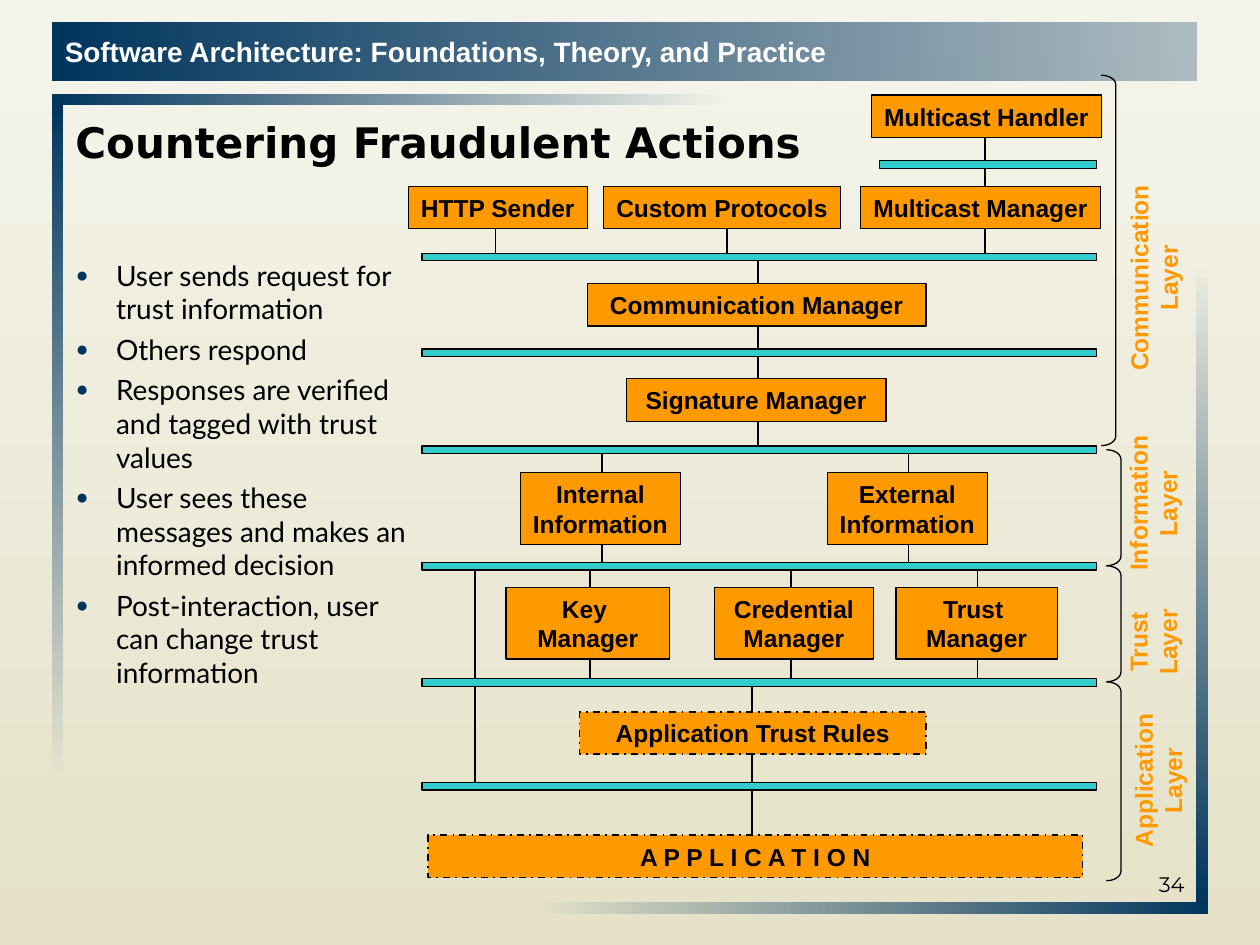
import pptx
import pptx.util
import pptx.dml.color
import pptx.enum.dml
import pptx.enum.shapes
import pptx.enum.text
import lxml.etree
from pptx.oxml.ns import qn

Pt = pptx.util.Pt
SHAPE = pptx.enum.shapes.MSO_SHAPE
ALIGN = pptx.enum.text.PP_ALIGN
ANCHOR = pptx.enum.text.MSO_ANCHOR
NAVY, ORANGE, TEAL, BLACK = "00355E", "FF9900", "33CCCC", "000000"


def rgb(code):
    return pptx.dml.color.RGBColor.from_string(code)


def write(frame, text, size=14, font="Arial", color=BLACK, bold=False, align=ALIGN.LEFT,
          anchor=ANCHOR.TOP, wrap=False, bullet=False):
    """Fill a text frame; each line of the text becomes a paragraph."""
    frame.word_wrap = wrap
    frame.vertical_anchor = anchor
    for number, line in enumerate(text.split("\n")):
        paragraph = frame.add_paragraph() if number else frame.paragraphs[0]
        paragraph.alignment = align
        if bullet:
            properties = paragraph._p.get_or_add_pPr()
            properties.set("marL", str(Pt(35.3)))
            properties.set("indent", str(-Pt(23)))
            bullet_color = lxml.etree.SubElement(properties, qn("a:buClr"))
            lxml.etree.SubElement(bullet_color, qn("a:srgbClr"), val=NAVY)
            lxml.etree.SubElement(properties, qn("a:buSzPct"), val="75000")
            lxml.etree.SubElement(properties, qn("a:buFont"), typeface="Arial")
            lxml.etree.SubElement(properties, qn("a:buChar"), char="●")
            paragraph.space_before = Pt(4 if number else 0)
        run = paragraph.add_run()
        run.text = line
        run.font.size = Pt(size)
        run.font.name = font
        run.font.bold = bold
        run.font.color.rgb = rgb(color)


deck = pptx.Presentation()
deck.slide_width, deck.slide_height = Pt(720), Pt(540)
slide = deck.slides.add_slide(deck.slide_layouts[6])
shapes = slide.shapes

# Background and fading frame: start and end are (colour, opacity in percent)
RIGHTWARD, DOWNWARD = 0, 270
solid, clear = (NAVY, 100), (NAVY, 0)
gradients = [(slide.background.fill, ("F5F4EB", 100), ("E5E2C9", 100), DOWNWARD)]
frame_parts = [
    (30, 54, 384, 6, solid, clear, RIGHTWARD),
    (30, 60, 6, 384, solid, clear, DOWNWARD),
    (306, 516, 384, 6, clear, solid, RIGHTWARD),
    (684, 150, 6, 366, clear, solid, DOWNWARD),
    (30, 13, 654, 33, solid, (NAVY, 29), RIGHTWARD),
]
for left, top, width, height, start, end, angle in frame_parts:
    band = shapes.add_shape(SHAPE.RECTANGLE, Pt(left), Pt(top), Pt(width), Pt(height))
    band.shadow.inherit = False
    band.line.fill.background()
    gradients.append((band.fill, start, end, angle))
for fill, start, end, angle in gradients:
    fill.gradient()
    fill.gradient_angle = angle
    for stop, (code, opacity) in zip(fill.gradient_stops, (start, end)):
        stop.color.rgb = rgb(code)
        if opacity < 100:
            lxml.etree.SubElement(stop._element[0], qn("a:alpha"), val=str(opacity * 1000))

# The header band is the last frame part
write(band.text_frame, "Software Architecture: Foundations, Theory, and Practice",
      size=16, color="FFFFFF", bold=True, anchor=ANCHOR.MIDDLE)

title = shapes.add_textbox(Pt(36), Pt(60), Pt(648), Pt(42))
write(title.text_frame, "Countering Fraudulent Actions", size=24, font="DejaVu Sans",
      bold=True, anchor=ANCHOR.MIDDLE, wrap=True)

page_number = shapes.add_textbox(Pt(516), Pt(480), Pt(168), Pt(36))
write(page_number.text_frame, "34", size=12, font="Montserrat", align=ALIGN.RIGHT,
      anchor=ANCHOR.BOTTOM, wrap=True)

steps = shapes.add_textbox(Pt(24), Pt(144), Pt(222), Pt(354))
write(steps.text_frame, """User sends request for trust information
Others respond
Responses are verified and tagged with trust values
User sees these messages and makes an informed decision
Post-interaction, user can change trust information""",
      size=16, font="Lato", wrap=True, bullet=True)

# Layers: label, label centre x and y, label width, bracket left, top and bottom
layers = [
    ("Communication\nLayer", 659.2, 158.8, 134, 629.3, 43, 254.7),
    ("Information\nLayer", 658.8, 287.6, 100, 632.2, 257, 323.3),
    ("Trust\nLayer", 658.8, 366.8, 60, 632.2, 323.3, 389.6),
    ("Application\nLayer", 661.7, 446, 134, 632.2, 389.6, 503.3),
]
for layer, center_x, center_y, width, left, top, bottom in layers:
    label = shapes.add_textbox(Pt(center_x - width / 2), Pt(center_y - 20.5), Pt(width), Pt(41))
    label.rotation = 270
    write(label.text_frame, layer, color=ORANGE, bold=True, align=ALIGN.CENTER, wrap=True)
    bracket = shapes.add_shape(SHAPE.RIGHT_BRACKET, Pt(left), Pt(top), Pt(8.3), Pt(bottom - top))
    bracket.adjustments[0] = 0.65
    bracket.shadow.inherit = False
    bracket.fill.background()
    bracket.line.color.rgb = rgb(BLACK)
    bracket.line.width = Pt(0.75)

# Links run behind the components, from bus centre to bus centre
BUS_HEIGHT = 4.3
bus_centers = [146.9, 201.6, 257, 323.6, 390, 449.3]
links = [
    (271.4, bus_centers[3], bus_centers[5]),
    (344.2, bus_centers[2], bus_centers[3]),
    (519.2, bus_centers[2], bus_centers[3]),
    (337, bus_centers[3], bus_centers[4]),
    (452.2, bus_centers[3], bus_centers[4]),
    (558.6, bus_centers[3], bus_centers[4]),
    (429.9, bus_centers[4], 491),
    (433, bus_centers[0], bus_centers[2]),
    (283.2, 121, bus_centers[0]),
    (415.3, 121, bus_centers[0]),
    (563, 67.7, bus_centers[0]),
]
for x, top, bottom in links:
    link = shapes.add_connector(pptx.enum.shapes.MSO_CONNECTOR.STRAIGHT,
                                Pt(x), Pt(top), Pt(x), Pt(bottom))
    link.line.color.rgb = rgb(BLACK)
    link.line.width = Pt(1)
    lxml.etree.SubElement(link._element.spPr, qn("a:effectLst"))

buses = [(241.2, center, 385.2) for center in bus_centers] + [(502.6, 94, 123.8)]
blocks = [("", left, center - BUS_HEIGHT / 2, width, BUS_HEIGHT, TEAL)
          for left, center, width in buses]
components = [
    ("Multicast Handler", 498.2, 54.3, 131.2),
    ("HTTP Sender", 233.3, 106.5, 102.4),
    ("Custom Protocols", 344.9, 106.5, 135.4),
    ("Multicast Manager", 491.9, 106.5, 136.9),
    ("Communication Manager", 335.6, 162, 193.6),
    ("Signature Manager", 358, 216.4, 148.3),
    ("Internal\nInformation", 297.4, 270.1, 91.4),
    ("External\nInformation", 472.8, 270.1, 91.4),
    ("Key \nManager", 289.2, 335.7, 93.5),
    ("Credential\nManager", 408.2, 335.7, 90.9),
    ("Trust \nManager", 512, 335.7, 92.2),
    ("Application Trust Rules", 331.2, 406.8, 198),
    ("A P P L I C A T I O N", 244.7, 477.2, 374),
]
blocks += [(name, left, top, width, 41 if "\n" in name else 24.3, ORANGE)
           for name, left, top, width in components]
for name, left, top, width, height, color in blocks:
    block = shapes.add_shape(SHAPE.RECTANGLE, Pt(left), Pt(top), Pt(width), Pt(height))
    block.shadow.inherit = False
    block.fill.solid()
    block.fill.fore_color.rgb = rgb(color)
    block.line.color.rgb = rgb(BLACK)
    block.line.width = Pt(0.75)
    if name.startswith("A"):
        block.line.width = Pt(1)
        block.line.dash_style = pptx.enum.dml.MSO_LINE.DASH_DOT
    if name:
        write(block.text_frame, name, bold=True, align=ALIGN.CENTER, anchor=ANCHOR.MIDDLE)

deck.save("out.pptx")
